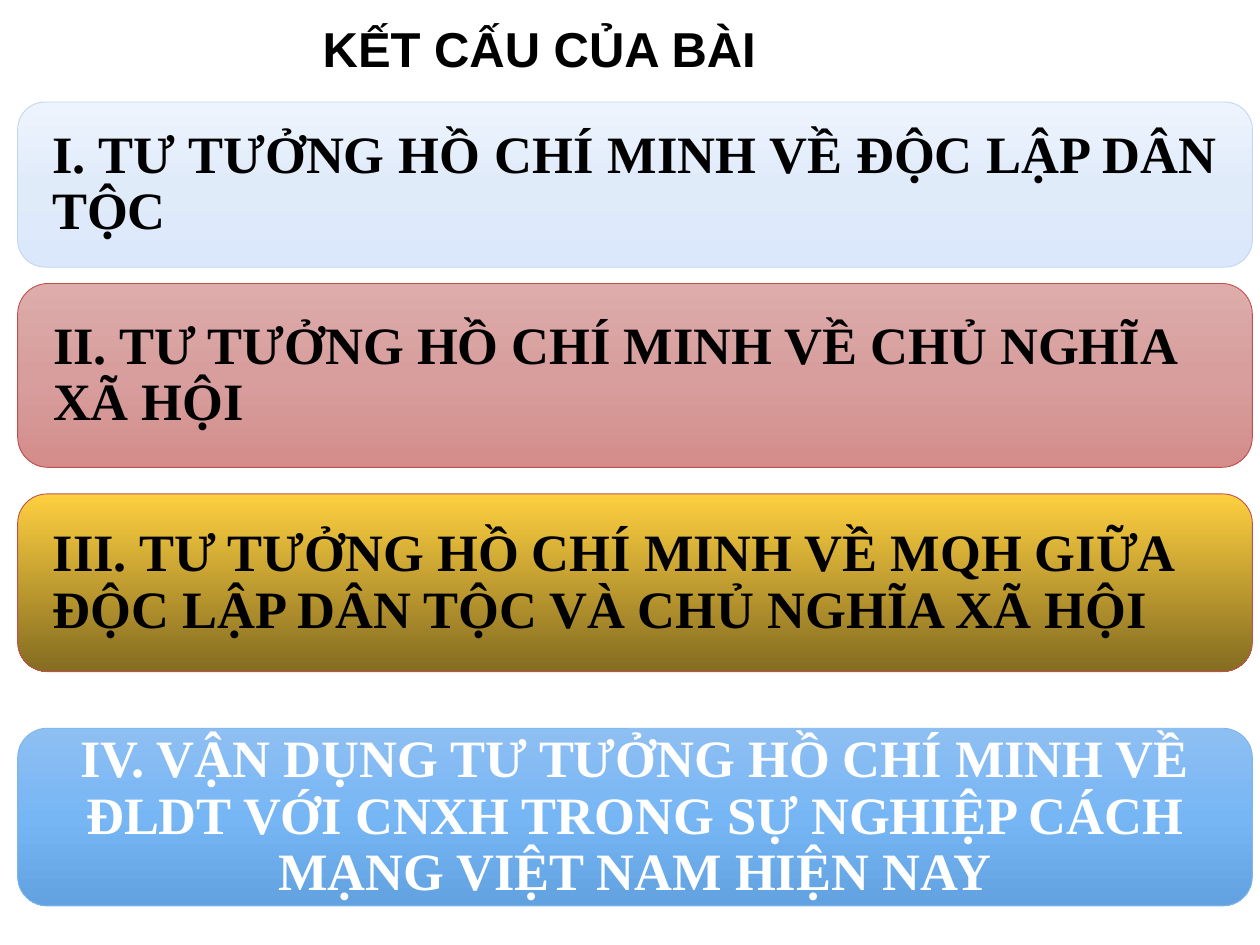
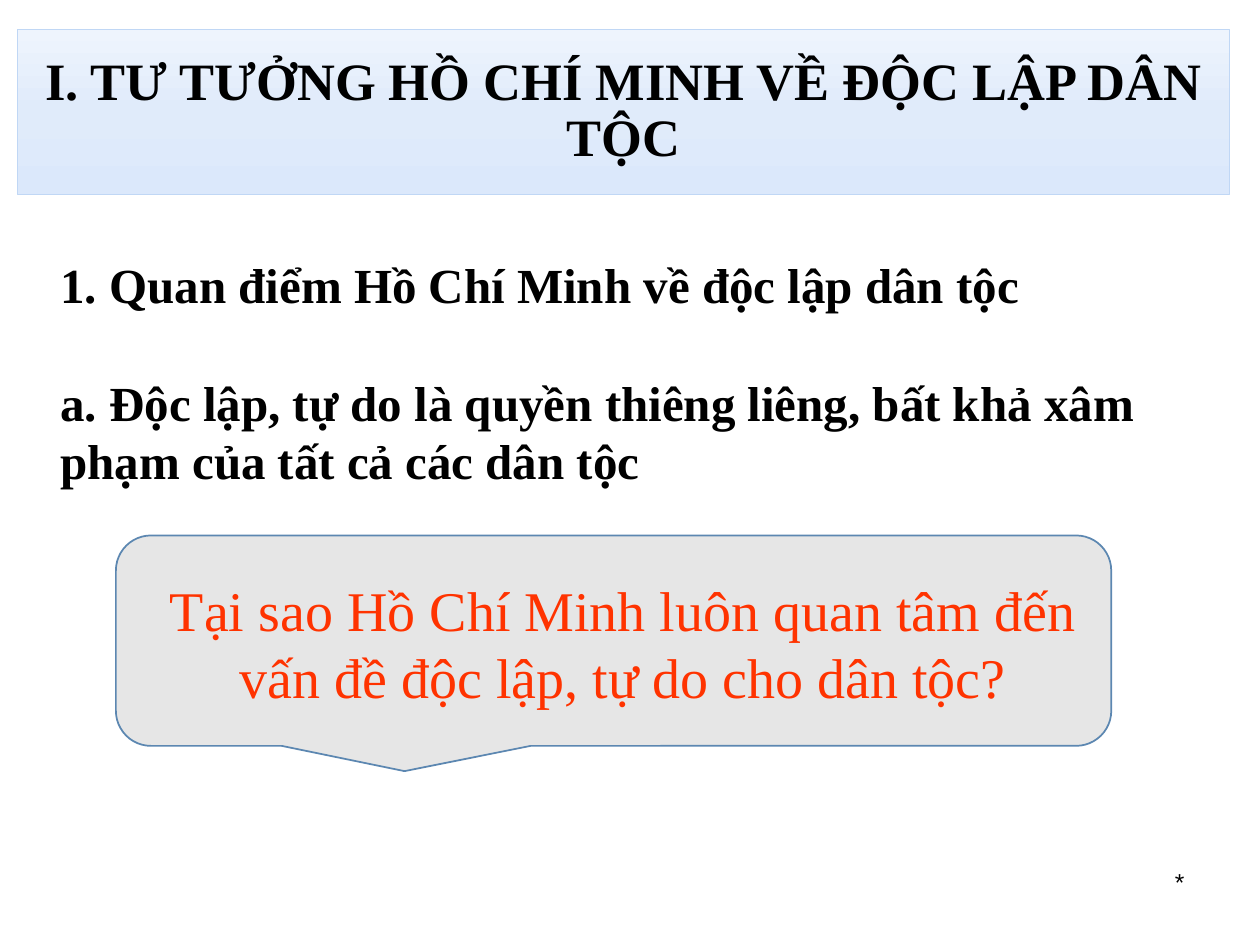
"""Build two lesson slides on a grid of 100 columns by 75 rows."""
from typing import NamedTuple

from lxml import etree
from pptx import Presentation
from pptx import util as u
from pptx.dml.color import RGBColor
from pptx.enum import shapes, text
from pptx.oxml.ns import qn

COLUMNS, ROWS = 100, 75
CELL = u.Inches(0.1)
SERIF, SANS = "Times New Roman", "Arial"
BLACK, WHITE, ORANGE = "000000", "FFFFFF", "FF3300"
LEFT, CENTER, RIGHT, JUSTIFY = (text.PP_ALIGN.LEFT, text.PP_ALIGN.CENTER,
                                text.PP_ALIGN.RIGHT, text.PP_ALIGN.JUSTIFY)
PALE = ("EEF4FD", "E0EBFA", "DBE8FB")
PINK = ("DDACAB", "D79E9D", "D48D8B")
GOLD = ("FECF40", "846C21")
BLUE = ("8EBFF2", "77B6F5", "63A2E1")
PALE_EDGE, RED_EDGE, BLUE_EDGE = "C0D7F5", "C0504D", "7DB6EF"
PART_ONE = "I. TƯ TƯỞNG HỒ CHÍ MINH VỀ ĐỘC LẬP DÂN TỘC"


class Area(NamedTuple):
    """Place and size in grid columns and rows."""
    column: float
    row: float
    columns: float
    rows: float


class Style(NamedTuple):
    """Look of a block of text."""
    size: float
    font: str = SERIF
    color: str = BLACK
    bold: bool = False
    align: text.PP_ALIGN = LEFT
    spacing: float = 1.0


class Band(NamedTuple):
    """Rounded heading band with a vertical gradient."""
    words: str
    area: Area
    stops: tuple[str, ...]
    edge: str
    align: text.PP_ALIGN = LEFT
    color: str = BLACK


OUTLINE = (
    Band(PART_ONE, Area(1.4, 8.1, 98, 13.1), PALE, PALE_EDGE, JUSTIFY),
    Band("II. TƯ TƯỞNG HỒ CHÍ MINH VỀ CHỦ NGHĨA XÃ HỘI",
         Area(1.4, 22.5, 98, 14.6), PINK, RED_EDGE),
    Band("III. TƯ TƯỞNG HỒ CHÍ MINH VỀ MQH GIỮA ĐỘC LẬP DÂN TỘC VÀ CHỦ NGHĨA XÃ HỘI",
         Area(1.4, 39.2, 98, 14.1), GOLD, RED_EDGE),
    Band("IV. VẬN DỤNG TƯ TƯỞNG HỒ CHÍ MINH VỀ ĐLDT VỚI CNXH TRONG SỰ NGHIỆP "
         "CÁCH MẠNG VIỆT NAM HIỆN NAY",
         Area(1.4, 57.8, 98, 14.1), BLUE, BLUE_EDGE, CENTER, WHITE),
)
HEADING = Band(PART_ONE, Area(1.4, 2.3, 96.2, 13.1), PALE, PALE_EDGE, CENTER)


def rgb(color: str) -> RGBColor:
    """Turn a hex string into a colour."""
    return RGBColor.from_string(color)


def place(area: Area) -> list[int]:
    """Turn grid cells into slide lengths."""
    return [round(cells * CELL) for cells in area]


def move(box, area: Area) -> None:
    """Put a placeholder on the grid."""
    box.left, box.top, box.width, box.height = place(area)


def write(box, words: str, style: Style, anchor=text.MSO_ANCHOR.TOP) -> None:
    """Fill a box with text, one paragraph a line, and format it."""
    frame = box.text_frame
    frame.text = words
    frame.word_wrap = True
    frame.auto_size = text.MSO_AUTO_SIZE.NONE
    frame.vertical_anchor = anchor
    for paragraph in frame.paragraphs:
        paragraph.alignment = style.align
        paragraph.line_spacing = style.spacing
        paragraph.space_before = paragraph.space_after = u.Pt(0)
        for span in paragraph.runs:
            font = span.font
            font.size, font.name, font.bold = u.Pt(style.size), style.font, style.bold
            font.color.rgb = rgb(style.color)


def add_text(page, words: str, area: Area, style: Style) -> None:
    """Add a text box."""
    write(page.shapes.add_textbox(*place(area)), words, style)


def shade(box, stops: tuple[str, ...]) -> None:
    """Fill a shape from top to bottom with evenly spaced colours."""
    box.fill.gradient()
    box.fill.gradient_angle = 270
    stop_list = box.fill._xPr.find(qn("a:gradFill")).find(qn("a:gsLst"))
    for stop in list(stop_list):
        stop_list.remove(stop)
    for index, color in enumerate(stops):
        position = index * 100000 // (len(stops) - 1)
        stop = etree.SubElement(stop_list, qn("a:gs"), pos=str(position))
        etree.SubElement(stop, qn("a:srgbClr"), val=color)


def dress(box, band: Band) -> None:
    """Give a shape the gradient, edge and text of a band."""
    shade(box, band.stops)
    box.line.color.rgb = rgb(band.edge)
    box.line.width = u.Pt(0.5)
    frame = box.text_frame
    frame.margin_left = frame.margin_right = u.Inches(0.21)
    frame.margin_top = frame.margin_bottom = u.Inches(0.03)
    write(box, band.words, Style(30, color=band.color, bold=True, align=band.align,
                                 spacing=0.9), text.MSO_ANCHOR.MIDDLE)


def add_band(page, band: Band) -> None:
    """Draw a rounded band."""
    box = page.shapes.add_shape(shapes.MSO_SHAPE.ROUNDED_RECTANGLE, *place(band.area))
    box.shadow.inherit = False
    dress(box, band)


def title_band(page, band: Band) -> None:
    """Shape the title placeholder as a rounded band."""
    title = page.shapes.title
    move(title, band.area)
    outline = etree.SubElement(title._element.spPr, qn("a:prstGeom"), prst="roundRect")
    etree.SubElement(outline, qn("a:avLst"))
    dress(title, band)


def add_callout(page, area: Area) -> None:
    """Draw the speech bubble behind the question."""
    bubble = page.shapes.add_shape(shapes.MSO_SHAPE.ROUNDED_RECTANGULAR_CALLOUT, *place(area))
    bubble.shadow.inherit = False
    bubble.adjustments[0], bubble.adjustments[1] = -0.21, 0.62
    bubble.fill.solid()
    bubble.fill.fore_color.rgb = rgb("E6E6E6")
    bubble.line.color.rgb = rgb("5C87B1")
    bubble.line.width = u.Pt(1)


def fill_body(body) -> None:
    """Write the two points without bullets."""
    move(body, Area(3.8, 19.7, 88.3, 19.8))
    write(body, "1. Quan điểm Hồ Chí Minh về độc lập dân tộc\n"
          "a. Độc lập, tự do là quyền thiêng liêng, bất khả xâm phạm của tất cả các dân tộc",
          Style(28, bold=True))
    for paragraph in body.text_frame.paragraphs:
        properties = paragraph._p.get_or_add_pPr()
        properties.set("marL", "0")
        properties.set("indent", "0")
        etree.SubElement(properties, qn("a:buNone"))
    body.text_frame.paragraphs[1].space_before = u.Pt(33.6)


def build_outline(deck) -> None:
    """Build the slide that lists the parts of the lesson."""
    page = deck.slides.add_slide(deck.slide_layouts[5])
    move(page.shapes.title, Area(17.8, 1, 50, 5.7))
    write(page.shapes.title, "KẾT CẤU CỦA BÀI", Style(28, SANS, bold=True, align=CENTER))
    for band in OUTLINE:
        add_band(page, band)


def build_part_one(deck) -> None:
    """Build the slide that opens part one."""
    page = deck.slides.add_slide(deck.slide_layouts[1])
    title_band(page, HEADING)
    fill_body(page.placeholders[1])
    add_callout(page, Area(9.2, 42.5, 79, 16.7))
    add_text(page, "Tại sao Hồ Chí Minh luôn quan tâm đến vấn đề độc lập, tự do cho dân tộc?",
             Area(10, 45.2, 78.9, 11.8), Style(32, color=ORANGE, align=CENTER))
    add_text(page, "*", Area(71.7, 68.3, 23.3, 5.2), Style(14, SANS, align=RIGHT))


def main() -> None:
    """Build and save the deck."""
    deck = Presentation()
    deck.slide_width, deck.slide_height = COLUMNS * CELL, ROWS * CELL
    build_outline(deck)
    build_part_one(deck)
    deck.save("out.pptx")


if __name__ == "__main__":
    main()
